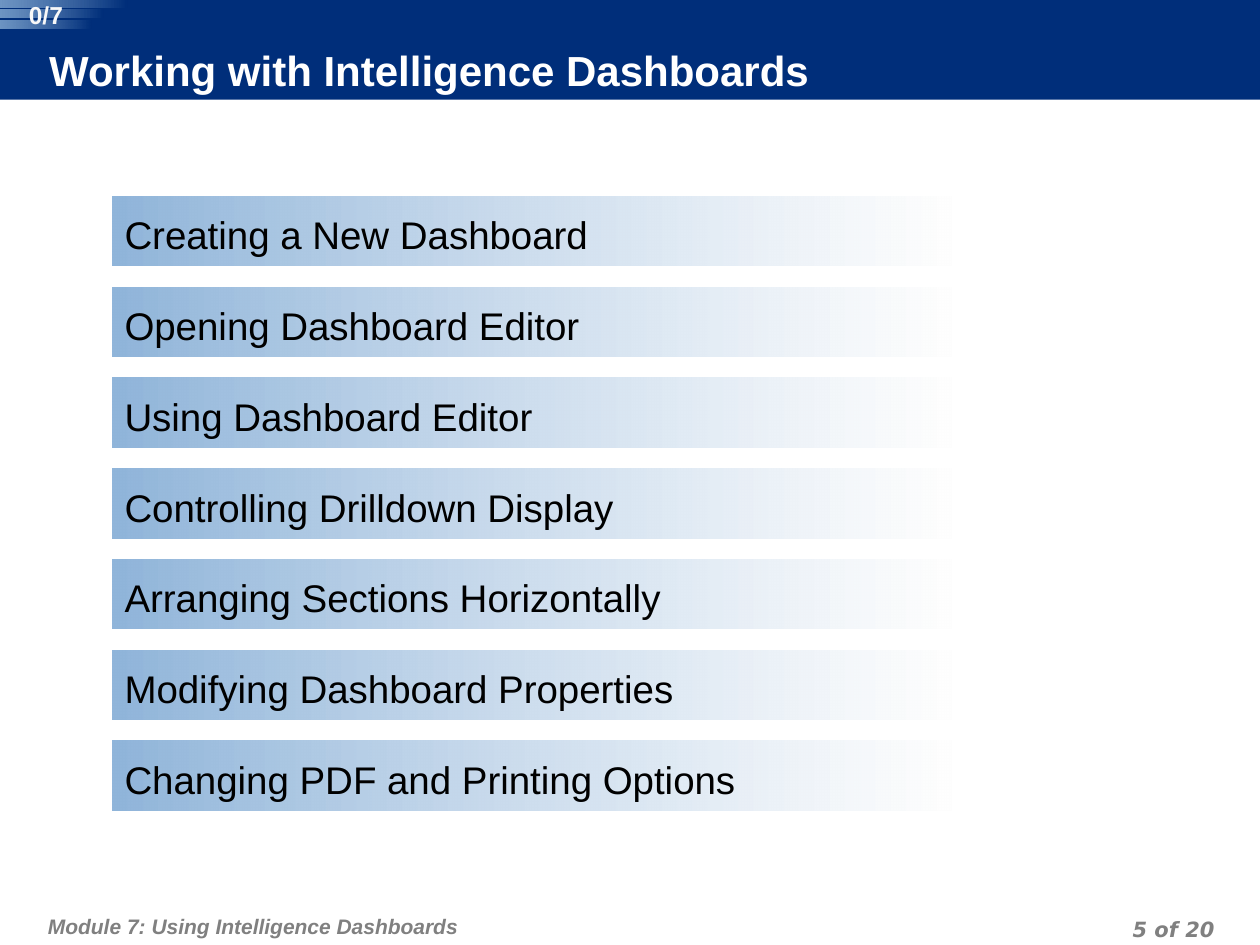
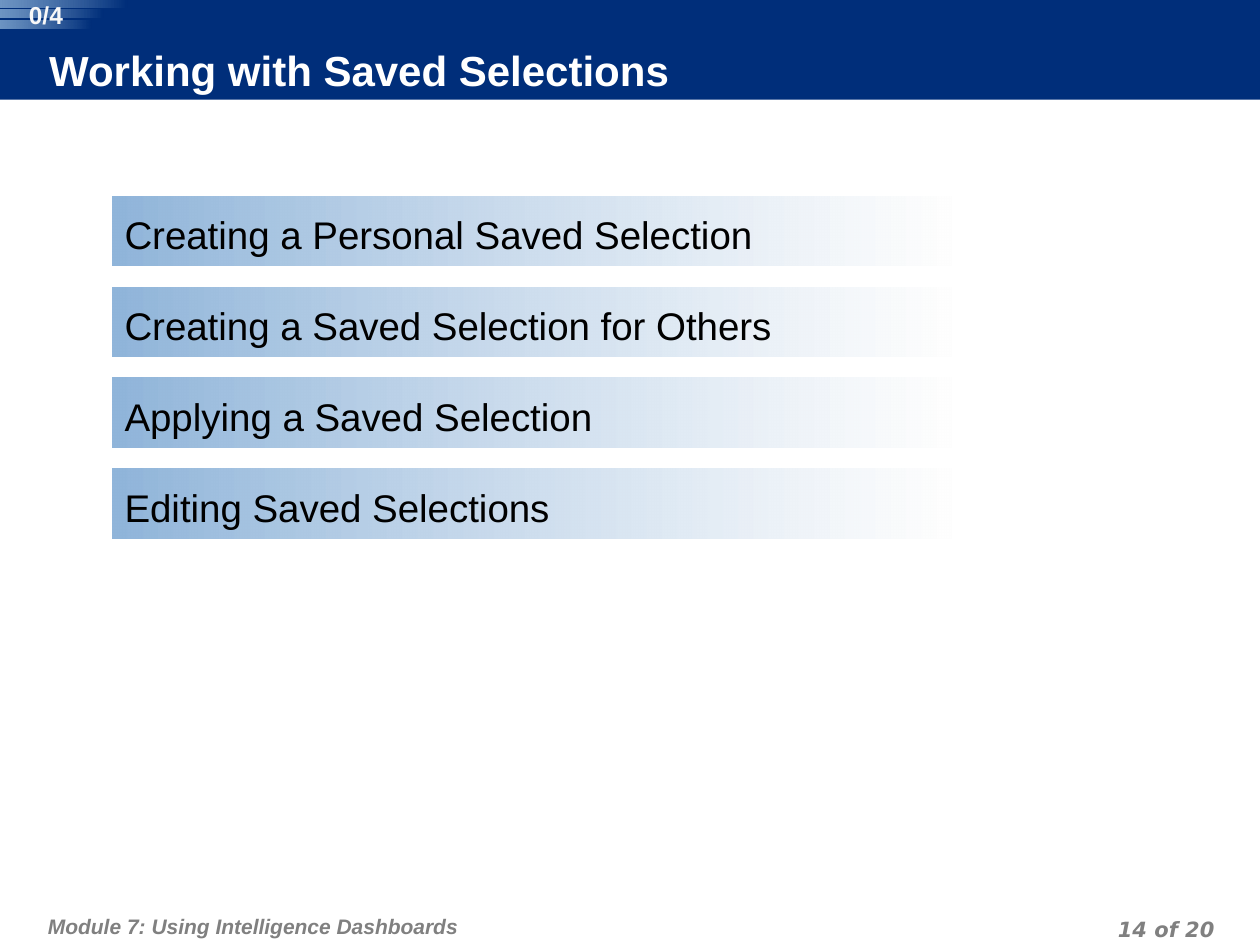
from typing import NamedTuple

from lxml.etree import SubElement
from pptx import Presentation
from pptx.dml.color import RGBColor
from pptx.enum.shapes import MSO_SHAPE as Preset
from pptx.enum.text import MSO_ANCHOR as Anchor, MSO_AUTO_SIZE as AutoSize, PP_ALIGN as Align
from pptx.oxml.ns import qn
from pptx.util import Inches, Pt

NAVY = RGBColor(0x00, 0x2E, 0x7A)
SKY = RGBColor(0x90, 0xB5, 0xDA)
NEAR_WHITE = RGBColor(0xFE, 0xFE, 0xFE)
COUNTER_WHITE = RGBColor(0xF8, 0xF8, 0xF8)
WHITE = RGBColor(0xFF, 0xFF, 0xFF)
GREY = RGBColor(0x80, 0x80, 0x80)
BLACK = RGBColor(0x00, 0x00, 0x00)

MODULE_NAME = "Module 7: Using Intelligence Dashboards"
PAGE_COUNT = 20


class Box(NamedTuple):
    left: float
    top: float
    width: float
    height: float

    def lengths(self) -> list:
        return [Inches(value) for value in self]


class Stop(NamedTuple):
    color: RGBColor
    opacity: int = 100


class Agenda(NamedTuple):
    title: str
    page: int
    topics: list[str]


BAND = Box(0, 0, 10, 0.79)
TITLE = Box(0.39, 0.38, 7.87, 0.4)
MODULE = Box(0.33, 7.1, 6.18, 0.4)
PAGE = Box(7.36, 7.22, 2.33, 0.25)
COUNTER = Box(0.11, 0, 0.51, 0.23)
STRIPES = [Box(0, 0, 1.01, 0.06), Box(0, 0.08, 0.82, 0.06), Box(0, 0.16, 0.73, 0.07)]
FIRST_TOPIC = Box(0.89, 1.56, 6.66, 0.55)
TOPIC_PITCH = 0.72
TOPIC_STOPS = (Stop(NEAR_WHITE, 75), Stop(SKY))
STRIPE_STOPS = (Stop(NAVY), Stop(SKY, 76))

AGENDAS = [
    Agenda("Working with Intelligence Dashboards", 5, [
        "Creating a New Dashboard",
        "Opening Dashboard Editor",
        "Using Dashboard Editor",
        "Controlling Drilldown Display",
        "Arranging Sections Horizontally",
        "Modifying Dashboard Properties",
        "Changing PDF and Printing Options",
    ]),
    Agenda("Working with Saved Selections", 14, [
        "Creating a Personal Saved Selection",
        "Creating a Saved Selection for Others",
        "Applying a Saved Selection",
        "Editing Saved Selections",
    ]),
]


def write_text(shape, text: str, *, size: float, color: RGBColor, font: str = "Arial",
               bold: bool = False, italic: bool = False, align=Align.LEFT,
               anchor=Anchor.TOP, insets=(0, 0, 0, 0), line_height=None) -> None:
    frame = shape.text_frame
    frame.word_wrap = True
    frame.auto_size = AutoSize.NONE
    frame.vertical_anchor = anchor
    (frame.margin_left, frame.margin_top,
     frame.margin_right, frame.margin_bottom) = [Inches(inset) for inset in insets]
    frame.text = text
    paragraph = frame.paragraphs[0]
    paragraph.alignment = align
    paragraph.line_spacing = line_height
    run_font = paragraph.runs[0].font
    run_font.name, run_font.size = font, Pt(size)
    run_font.bold, run_font.italic = bold, italic
    run_font.color.rgb = color


def add_plain_shape(shapes, preset, box: Box):
    shape = shapes.add_shape(preset, *box.lengths())
    shape.shadow.inherit = False
    shape.line.fill.background()
    return shape


def add_fading_bar(shapes, box: Box, stops: tuple[Stop, Stop]):
    bar = add_plain_shape(shapes, Preset.ROUNDED_RECTANGLE, box)
    bar.adjustments[0] = 0
    bar.fill.gradient()
    bar.fill.gradient_angle = 180
    for position, (gradient_stop, stop) in enumerate(zip(bar.fill.gradient_stops, stops)):
        gradient_stop.position = position
        gradient_stop.color.rgb = stop.color
    for color, stop in zip(bar.element.spPr.iter(qn("a:srgbClr")), stops):
        if stop.opacity < 100:
            SubElement(color, qn("a:alpha"), val=str(stop.opacity * 1000))
    return bar


def add_header(slide, title: str) -> None:
    band = add_plain_shape(slide.shapes, Preset.RECTANGLE, BAND)
    band.fill.solid()
    band.fill.fore_color.rgb = NAVY
    heading = slide.shapes.title
    heading.element.addprevious(band.element)
    heading.left, heading.top, heading.width, heading.height = TITLE.lengths()
    heading.fill.solid()
    heading.fill.fore_color.rgb = NAVY
    write_text(heading, title, size=24, color=WHITE, bold=True,
               anchor=Anchor.MIDDLE, insets=(0, 0, 0.05, 0.05))


def add_footer(slide, page: int) -> None:
    footer_style = dict(size=12, color=GREY, bold=True, italic=True, line_height=Pt(18))
    write_text(slide.shapes.add_textbox(*MODULE.lengths()), MODULE_NAME,
               insets=(0.05, 0.1, 0.05, 0.05), **footer_style)
    write_text(slide.shapes.add_textbox(*PAGE.lengths()), f"{page} of {PAGE_COUNT}",
               font="DejaVu Sans", align=Align.RIGHT, insets=(0.05, 0, 0.05, 0), **footer_style)


def add_counter(slide, total: int) -> None:
    group = slide.shapes.add_group_shape()
    for stripe in STRIPES:
        add_fading_bar(group.shapes, stripe, STRIPE_STOPS)
    write_text(group.shapes.add_textbox(*COUNTER.lengths()), f"0/{total}",
               size=14, color=COUNTER_WHITE, bold=True, align=Align.CENTER)


def add_topics(slide, topics: list[str]) -> None:
    for index, topic in enumerate(topics):
        box = FIRST_TOPIC._replace(top=FIRST_TOPIC.top + index * TOPIC_PITCH)
        bar = add_fading_bar(slide.shapes, box, TOPIC_STOPS)
        write_text(bar, topic, size=22, color=BLACK, anchor=Anchor.MIDDLE,
                   insets=(0.1, 0.1, 0.1, 0.05))


def main() -> None:
    presentation = Presentation()
    presentation.slide_width, presentation.slide_height = Inches(10), Inches(7.5)
    title_only = presentation.slide_layouts[5]
    for agenda in AGENDAS:
        slide = presentation.slides.add_slide(title_only)
        add_header(slide, agenda.title)
        add_footer(slide, agenda.page)
        add_topics(slide, agenda.topics)
        add_counter(slide, len(agenda.topics))
    presentation.save("out.pptx")


if __name__ == "__main__":
    main()
